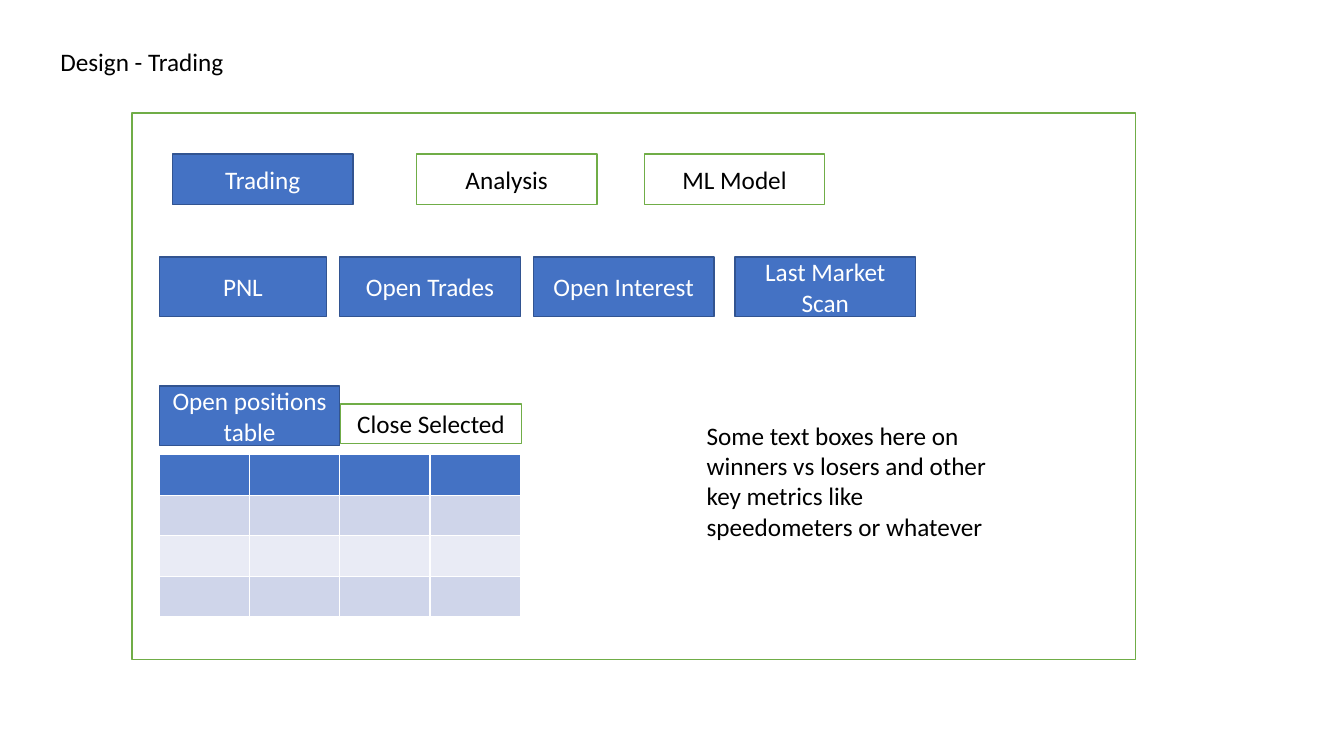
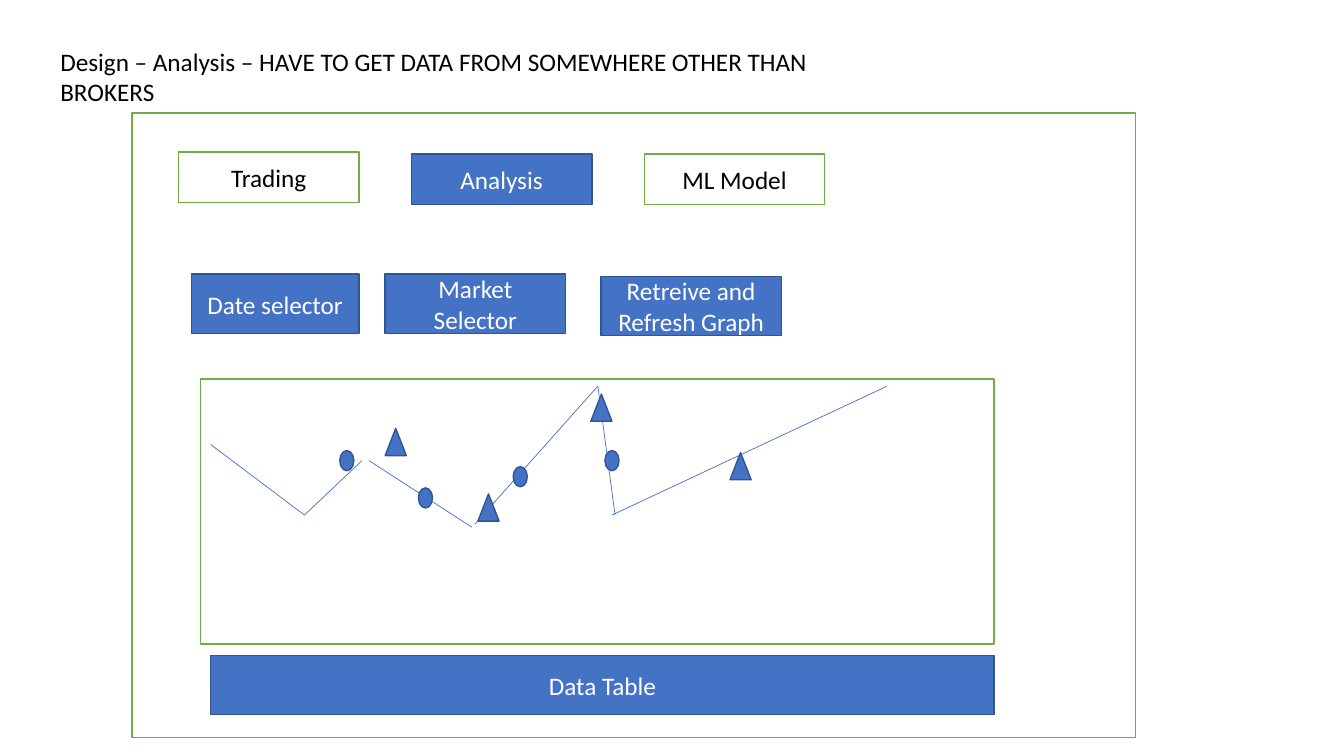
from lxml import etree
from pptx import Presentation, util as u
from pptx.dml.color import RGBColor
from pptx.enum import shapes, text
from pptx.oxml.ns import qn

BLUE, NAVY, GREEN = "4472C4", "325491", "70AD47"
WHITE, BLACK = "FFFFFF", "000000"
BANDS = ("CFD5EA", "E9EBF5")
FONT = {"name": "Calibri", "size": u.Pt(18)}
SOLID = {"fill": BLUE, "line": NAVY, "font": WHITE}
OUTLINE = {"fill": WHITE, "line": GREEN, "font": BLACK}
RECTANGLE = shapes.MSO_SHAPE.RECTANGLE
OVAL = shapes.MSO_SHAPE.OVAL
TRIANGLE = shapes.MSO_SHAPE.ISOSCELES_TRIANGLE
TAB_SIZE = (1.79, 0.5)
BUTTON_WIDTH, BUTTON_HEIGHT = 1.79, 0.59
NARROW_WIDTH = 1.66


def rgb(value):
    return RGBColor.from_string(value)


def inches(*values):
    return [u.Inches(value) for value in values]


def paint(target, color):
    target.fill.solid()
    target.fill.fore_color.rgb = rgb(color)


def write(shape, words, color, alignment, anchor):
    frame = shape.text_frame
    for name, value in {"word_wrap": True, "vertical_anchor": anchor}.items():
        setattr(frame, name, value)
    paragraph = frame.paragraphs[0]
    paragraph.alignment = alignment
    run = paragraph.add_run()
    run.text = words
    for name, value in FONT.items():
        setattr(run.font, name, value)
    run.font.color.rgb = rgb(color)


def add_label(slide, words, *box):
    label = slide.shapes.add_textbox(*inches(*box))
    write(label, words, BLACK, text.PP_ALIGN.LEFT, text.MSO_ANCHOR.TOP)


def add_box(slide, style, left, top, width, height, words="", kind=RECTANGLE):
    shape = slide.shapes.add_shape(kind, *inches(left, top, width, height))
    shape.shadow.inherit = False
    paint(shape, style["fill"])
    shape.line.color.rgb = rgb(style["line"])
    shape.line.width = u.Pt(1)
    if words:
        write(shape, words, style["font"], text.PP_ALIGN.CENTER, text.MSO_ANCHOR.MIDDLE)


def add_segment(slide, start, end):
    line = slide.shapes.add_connector(
        shapes.MSO_CONNECTOR.STRAIGHT, *inches(*start, *end))
    line.line.color.rgb = rgb(BLUE)
    line.line.width = u.Pt(0.5)
    etree.SubElement(line._element.spPr, qn("a:effectLst"))


def add_banded_table(slide, left, top, width, height, rows, columns):
    table = slide.shapes.add_table(
        rows, columns, *inches(left, top, width, height)).table
    for index, row in enumerate(table.rows):
        for cell in row.cells:
            paint(cell, BANDS[(index - 1) % 2] if index else BLUE)


def add_screen(presentation, title, title_size, frame_height, tabs, active):
    """Title, outer frame and tab row that every screen has."""
    slide = presentation.slides.add_slide(presentation.slide_layouts[6])
    add_label(slide, title, 0.5, 0.41, *title_size)
    add_box(slide, OUTLINE, 1.31, 1.12, 9.95, frame_height)
    for words, left, top in tabs:
        style = SOLID if words == active else OUTLINE
        add_box(slide, style, left, top, *TAB_SIZE, words)
    return slide


def add_buttons(slide, buttons):
    for words, left, top, width in buttons:
        add_box(slide, SOLID, left, top, width, BUTTON_HEIGHT, words)


def build_trading(presentation):
    slide = add_screen(
        presentation, "Design - Trading", (4.32, 0.4), 5.42,
        [("Trading", 1.71, 1.53), ("Analysis", 4.13, 1.53), ("ML Model", 6.39, 1.53)],
        "Trading")
    add_buttons(slide, [
        ("PNL", 1.58, 2.55, NARROW_WIDTH),
        ("Open Trades", 3.37, 2.55, BUTTON_WIDTH),
        ("Open Interest", 5.29, 2.55, BUTTON_WIDTH),
        ("Last Market Scan", 7.29, 2.55, BUTTON_WIDTH),
        ("Open positions table", 1.58, 3.83, BUTTON_WIDTH),
    ])
    # Open positions
    add_banded_table(slide, 1.58, 4.51, 3.58, 1.61, rows=4, columns=4)
    add_box(slide, OUTLINE, 3.38, 4.01, 1.79, 0.39, "Close Selected")
    add_label(slide, "Some text boxes here on winners vs losers and other key "
              "metrics like speedometers or whatever", 6.91, 4.12, 3.05, 1.31)


def build_analysis(presentation):
    slide = add_screen(
        presentation,
        "Design – Analysis – HAVE TO GET DATA FROM SOMEWHERE OTHER THAN BROKERS",
        (8.53, 0.71), 6.2,
        [("Trading", 1.77, 1.51), ("Analysis", 4.08, 1.53), ("ML Model", 6.39, 1.53)],
        "Analysis")
    # Sketched price graph
    add_box(slide, OUTLINE, 1.99, 3.76, 7.87, 2.63)
    for start, end in [
        ((2.09, 4.41), (3.02, 5.11)), ((3.02, 5.11), (3.59, 4.57)),
        ((3.66, 4.57), (4.68, 5.23)), ((4.71, 5.2), (5.93, 3.83)),
        ((5.93, 3.83), (6.1, 5.11)), ((6.07, 5.11), (8.8, 3.83)),
    ]:
        add_segment(slide, start, end)
    # Trade markers
    markers = [
        (OVAL, (0.14, 0.2), [(3.37, 4.47), (4.15, 4.84), (5.09, 4.63), (6, 4.47)]),
        (TRIANGLE, (0.21, 0.27), [(3.82, 4.25), (4.74, 4.9), (5.86, 3.91), (7.24, 4.49)]),
    ]
    for kind, size, places in markers:
        for place in places:
            add_box(slide, SOLID, *place, *size, kind=kind)
    add_buttons(slide, [
        ("Date selector", 1.9, 2.72, NARROW_WIDTH),
        ("Market Selector", 3.82, 2.72, BUTTON_WIDTH),
        ("Retreive and Refresh Graph", 5.96, 2.74, BUTTON_WIDTH),
        ("Data Table", 2.09, 6.5, 7.77),
    ])


def main():
    presentation = Presentation()
    presentation.slide_width, presentation.slide_height = inches(13.33, 7.5)
    build_trading(presentation)
    build_analysis(presentation)
    presentation.save("out.pptx")


main()
